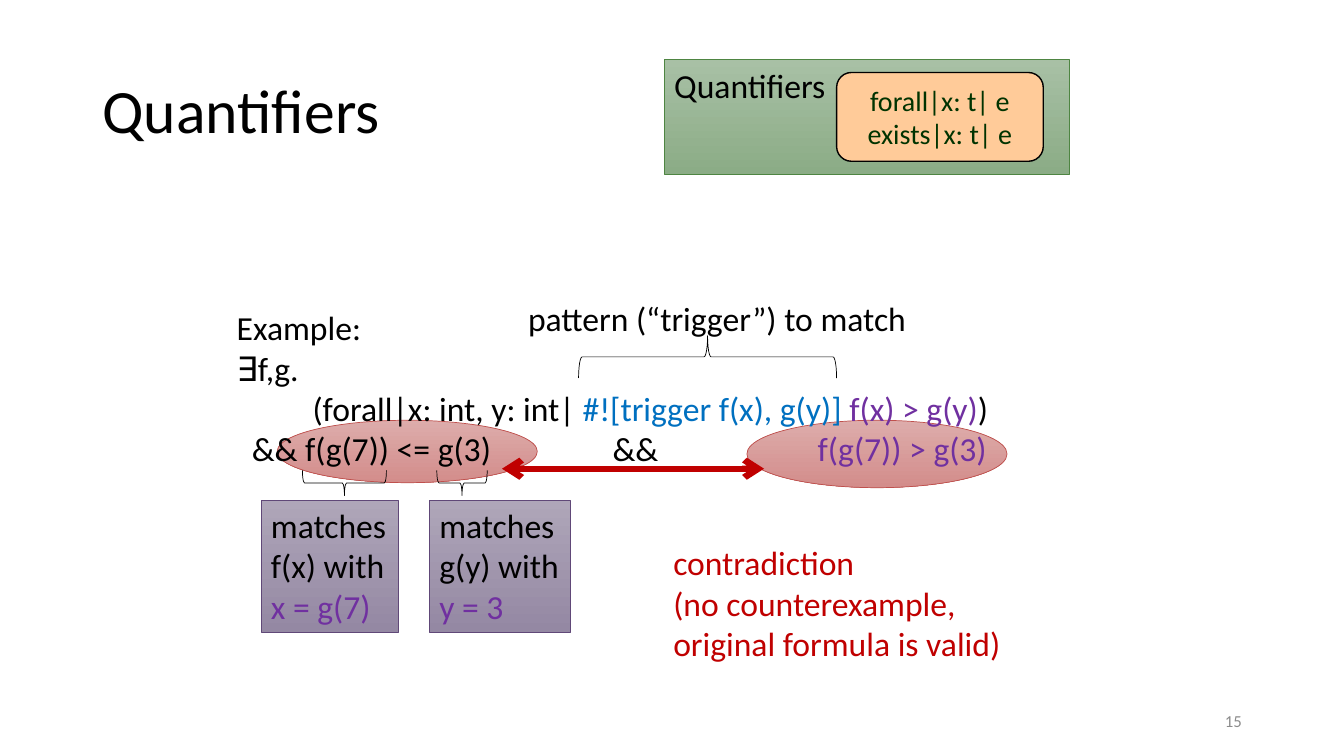
import pptx
import pptx.dml.color
import pptx.enum.shapes
import pptx.enum.text
import pptx.oxml.ns
import pptx.util
from lxml import etree

Pt = pptx.util.Pt
SHAPE = pptx.enum.shapes.MSO_SHAPE
ALIGN = pptx.enum.text.PP_ALIGN
ANCHOR = pptx.enum.text.MSO_ANCHOR

BLACK, RED, PURPLE, BLUE = "000000", "C00000", "7030A0", "0070C0"
RED_PANEL = ("DDACAB", "D38D8B", "BF504D")
PURPLE_PANEL = ("AFA6B9", "9488A3", "604878")
GREEN_PANEL = ("A8C0A5", "8BAC86", "4E8542")


def rgb(code):
    return pptx.dml.color.RGBColor.from_string(code)


def add_xml(parent, tag, **attributes):
    return etree.SubElement(parent, pptx.oxml.ns.qn(tag), **attributes)


class SlideBuilder:
    font = "Calibri"

    def __init__(self, slide):
        self.slide = slide

    def put_lines(self, owner, lines, size=24, color=BLACK, align=ALIGN.LEFT,
                  anchor=ANCHOR.TOP, wrap=True):
        """Fill a shape; a line is a string or a list of (text, colour) runs."""
        frame = owner.text_frame
        frame.word_wrap = wrap
        frame.auto_size = pptx.enum.text.MSO_AUTO_SIZE.NONE
        frame.vertical_anchor = anchor
        for index, line in enumerate(lines):
            paragraph = frame.paragraphs[0] if index == 0 else frame.add_paragraph()
            paragraph.alignment = align
            for text, run_color in [(line, color)] if isinstance(line, str) else line:
                run = paragraph.add_run()
                run.text = text
                run.font.name = self.font
                run.font.size = Pt(size)
                run.font.color.rgb = rgb(run_color)
        return frame

    def title(self, box, text):
        heading = self.slide.shapes.title
        heading.left, heading.top, heading.width, heading.height = map(Pt, box)
        frame = self.put_lines(heading, [text], size=44, anchor=ANCHOR.MIDDLE)
        frame.paragraphs[0].line_spacing = 0.9

    def text(self, box, lines, **style):
        return self.put_lines(self.slide.shapes.add_textbox(*map(Pt, box)), lines, **style)

    def outline(self, kind, box, color, width=0.5):
        """Add an unfilled preset shape with a thin line."""
        shape = self.slide.shapes.add_shape(kind, *map(Pt, box))
        shape.shadow.inherit = False
        shape.fill.background()
        shape.line.color.rgb = rgb(color)
        shape.line.width = Pt(width)
        return shape

    def panel(self, kind, box, colors):
        """Add a shape shaded from top to bottom."""
        top, bottom, edge = colors
        shape = self.outline(kind, box, edge)
        shape.fill.gradient()
        shape.fill.gradient_angle = 270
        for stop, color, position in zip(shape.fill.gradient_stops, (top, bottom), (0, 1)):
            stop.color.rgb = rgb(color)
            stop.position = position
        return shape

    def brace(self, left, top, span, depth, rotation):
        """Add a horizontal brace that fills the given area once rotated."""
        box = (left + (span - depth) / 2, top + (depth - span) / 2, depth, span)
        self.outline(SHAPE.RIGHT_BRACE, box, BLACK).rotation = rotation

    def double_arrow(self, left, right, y, color, width):
        arrow = self.slide.shapes.add_connector(
            pptx.enum.shapes.MSO_CONNECTOR.STRAIGHT, Pt(left), Pt(y), Pt(right), Pt(y))
        arrow.line.color.rgb = rgb(color)
        arrow.line.width = Pt(width)
        properties = arrow.element.spPr
        line = properties.find(pptx.oxml.ns.qn("a:ln"))
        for end in ("a:headEnd", "a:tailEnd"):
            add_xml(line, end, type="arrow")
        add_xml(properties, "a:effectLst")


def set_indent(paragraph, indent):
    paragraph._p.get_or_add_pPr().set("marL", str(Pt(indent)))


def set_tabs(paragraph, stops):
    tabs = add_xml(paragraph._p.get_or_add_pPr(), "a:tabLst")
    for stop in stops:
        add_xml(tabs, "a:tab", pos=str(Pt(stop)), algn="l")


def main():
    deck = pptx.Presentation()
    deck.slide_width, deck.slide_height = Pt(960), Pt(540)
    page = SlideBuilder(deck.slides.add_slide(deck.slide_layouts[5]))
    page.title((66, 28.75, 770, 104.4), "Quantifiers")

    page.panel(SHAPE.OVAL, (533.5, 300.2, 185.8, 48.2), RED_PANEL)
    page.panel(SHAPE.OVAL, (198, 300.2, 185.8, 44.6), RED_PANEL)
    page.double_arrow(358.6, 545.8, 334.8, RED, 4.5)

    formula = page.text((162, 216, 560, 123.8), [
        "Example:",
        "∃f,g.",
        [("(forall|x: int, y: int| ", BLACK), ("#![trigger f(x), g(y)] ", BLUE),
         ("f(x) > g(y)", PURPLE), (")", BLACK)],
        [("\t&& f(g(7)) <= g(3)\t&&\t", BLACK), ("f(g(7)) > g(3)", PURPLE)],
    ])
    set_indent(formula.paragraphs[2], 54.2)
    set_tabs(formula.paragraphs[3], (10.8, 268.5, 415))

    for left, width, term, binding, brace_left, span in (
            (186.5, 97.9, "f(x)", "x = g(7)", 216, 60),
            (306.7, 100.8, "g(y)", "y = 3", 312, 36)):
        page.brace(brace_left, 336, span, 18, rotation=90)
        match = page.panel(SHAPE.RECTANGLE, (left, 357.1, width, 94.3), PURPLE_PANEL)
        page.put_lines(match, ["matches", f"{term} with", [(binding, PURPLE)]], wrap=False)

    page.text((473.8, 383.8, 257.8, 94.3),
              ["contradiction", "(no counterexample,", "original formula is valid)"],
              color=RED, wrap=False)

    syntax = page.panel(SHAPE.RECTANGLE, (474.5, 42.5, 289.4, 82), GREEN_PANEL)
    page.put_lines(syntax, ["Quantifiers"])
    forms = page.outline(SHAPE.ROUNDED_RECTANGLE, (597.6, 51.8, 147.6, 63.4), BLACK, 1)
    forms.fill.solid()
    forms.fill.fore_color.rgb = rgb("FFCB99")
    page.put_lines(forms, ["forall|x: t| e", "exists|x: t| e"], size=20, color="003300",
                   align=ALIGN.CENTER, anchor=ANCHOR.MIDDLE)

    page.brace(413.3, 239.8, 184.3, 30.2, rotation=270)
    page.text((370.1, 209.5, 293.8, 36), ["pattern (“trigger”) to match"], wrap=False)
    page.text((678.2, 500.4, 216, 28.8), ["15"], size=12, color="8C8C8C",
              align=ALIGN.RIGHT, anchor=ANCHOR.MIDDLE)

    deck.save("out.pptx")


if __name__ == "__main__":
    main()
